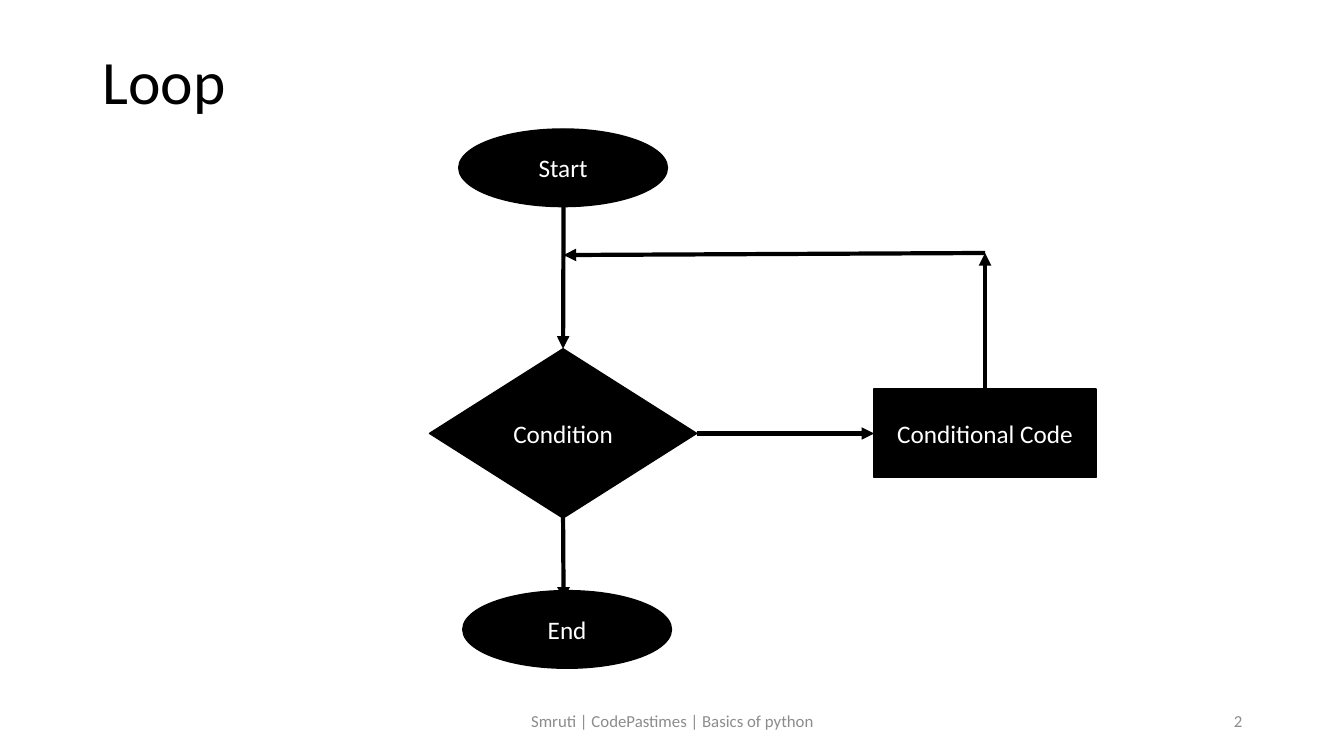
from lxml.etree import SubElement
from pptx import Presentation
from pptx.dml.color import RGBColor
from pptx.enum.shapes import MSO_CONNECTOR, MSO_SHAPE
from pptx.enum.text import MSO_ANCHOR, PP_ALIGN
from pptx.oxml.ns import qn
from pptx.util import Inches, Pt

THEME = {
    "font": "Calibri",
    "ink": RGBColor(0, 0, 0),
    "paper": RGBColor(255, 255, 255),
    "muted": RGBColor(0x8C, 0x8C, 0x8C),
    "title": Pt(44),
    "body": Pt(18),
    "small": Pt(12),
    "outline": Pt(1),
    "arrow": Pt(3),
}

deck = Presentation()
deck.slide_width, deck.slide_height = Inches(13.33), Inches(7.5)
page = deck.slides.add_slide(deck.slide_layouts[6])


def write(box, text, size, color, alignment):
    frame = box.text_frame
    frame.word_wrap = True
    frame.vertical_anchor = MSO_ANCHOR.MIDDLE
    para = frame.paragraphs[0]
    para.alignment = alignment
    span = para.add_run()
    span.text = text
    formats = {"name": THEME["font"], "size": THEME[size]}
    for name, value in formats.items():
        setattr(span.font, name, value)
    span.font.color.rgb = THEME[color]
    return para


def add_step(kind, text, *place):
    step = page.shapes.add_shape(kind, *map(Inches, place))
    step.shadow.inherit = False
    step.fill.solid()
    step.fill.fore_color.rgb = THEME["ink"]
    step.line.color.rgb = THEME["ink"]
    step.line.width = THEME["outline"]
    write(step, text, "body", "paper", PP_ALIGN.CENTER)
    return step


labels = [
    ("Loop", (0.92, 0.4, 11.5, 0.88), "title", "ink", PP_ALIGN.LEFT, 0.9),
    ("Smruti | CodePastimes | Basics of python", (4.42, 6.95, 4.5, 0.4),
     "small", "muted", PP_ALIGN.CENTER, 1.0),
    ("2", (9.42, 6.95, 3, 0.4), "small", "muted", PP_ALIGN.RIGHT, 1.0),
]
for text, place, size, color, alignment, spacing in labels:
    box = page.shapes.add_textbox(*map(Inches, place))
    write(box, text, size, color, alignment).line_spacing = spacing

condition = add_step(MSO_SHAPE.DIAMOND, "Condition", 4.26, 3.46, 2.65, 1.68)
code = add_step(MSO_SHAPE.RECTANGLE, "Conditional Code", 8.67, 3.86, 2.2, 0.88)

arrows = [
    ((5.59, 2), (5.59, 3.46), None, (condition, 0)),
    ((5.59, 5.14), (5.59, 5.95), (condition, 2), None),
    ((6.91, 4.3), (8.67, 4.3), (condition, 3), (code, 1)),
    ((9.77, 3.86), (9.77, 2.51), (code, 0), None),
    ((9.77, 2.51), (5.59, 2.53), None, None),
]
for start, end, source, target in arrows:
    arrow = page.shapes.add_connector(
        MSO_CONNECTOR.STRAIGHT, *map(Inches, start + end))
    if source:
        arrow.begin_connect(*source)
    if target:
        arrow.end_connect(*target)
    arrow.line.color.rgb = THEME["ink"]
    arrow.line.width = THEME["arrow"]
    SubElement(arrow.line._get_or_add_ln(), qn("a:tailEnd"), type="triangle")
    SubElement(arrow._element.spPr, qn("a:effectLst"))

for text, left, top in [("Start", 4.55, 1.28), ("End", 4.59, 5.86)]:
    add_step(MSO_SHAPE.OVAL, text, left, top, 2.07, 0.77)

deck.save("out.pptx")
